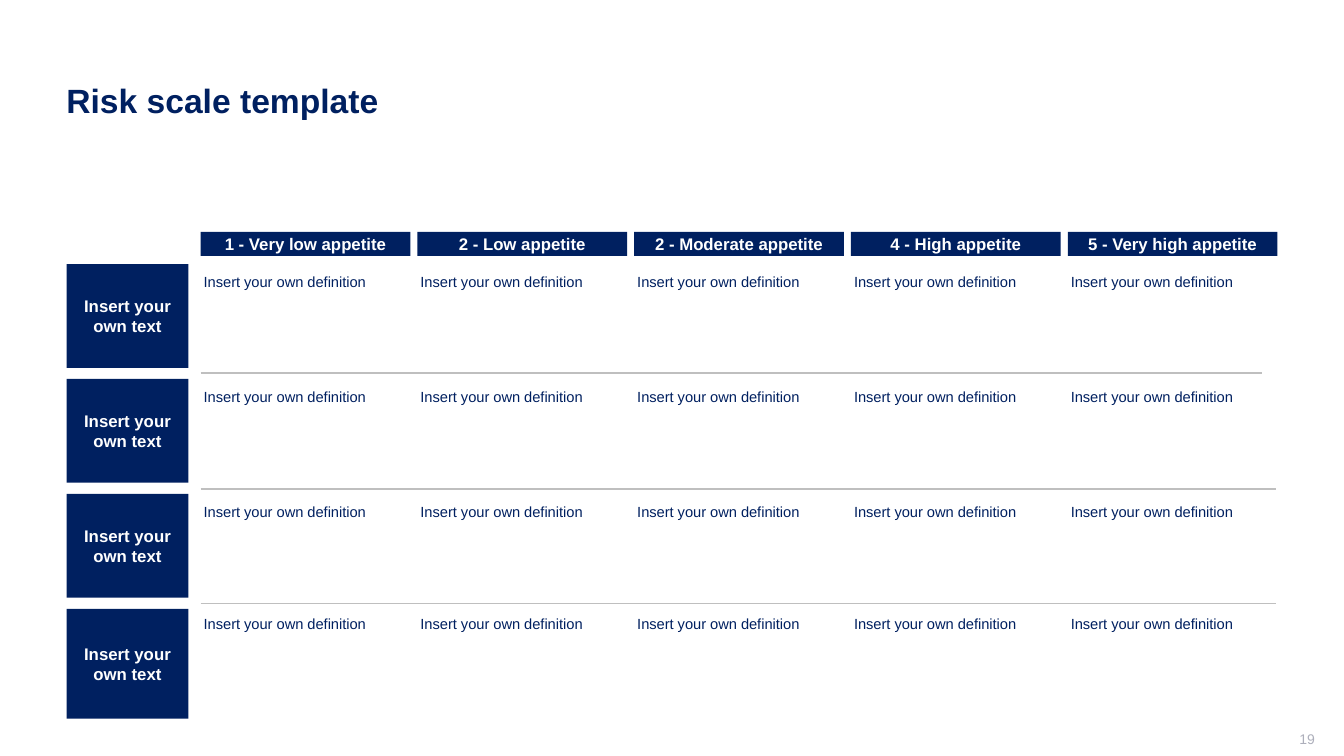
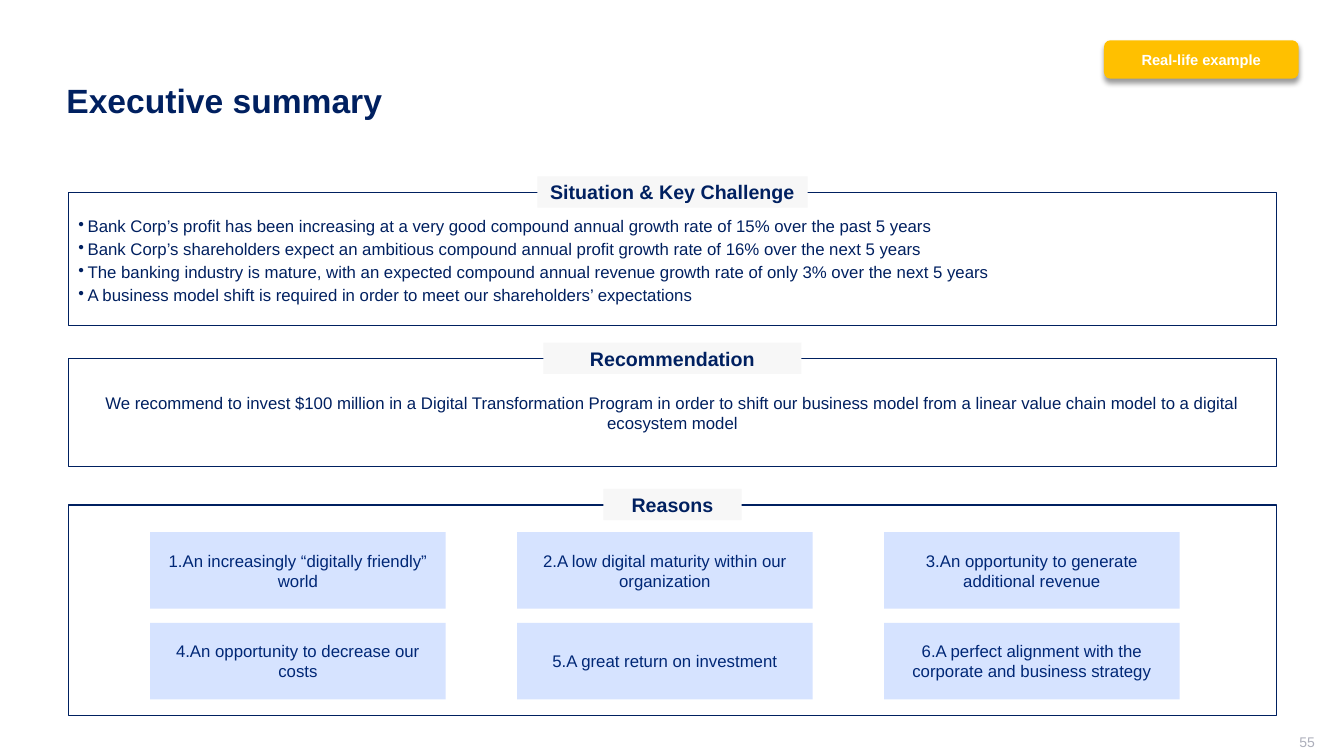
from dataclasses import dataclass
from itertools import product

from lxml.etree import SubElement as Sub
from pptx import Presentation as Deck
from pptx.dml.color import RGBColor as Color
from pptx.enum.shapes import MSO_CONNECTOR as Link
from pptx.enum.shapes import MSO_SHAPE as Form
from pptx.enum.text import MSO_ANCHOR as Anchor
from pptx.enum.text import PP_ALIGN as Align
from pptx.oxml.ns import qn
from pptx.util import Inches, Pt


@dataclass(frozen=True)
class Type:
    size: float
    color: str
    bold: bool = False
    align: Align = Align.CENTER
    gap: float = 0


@dataclass(frozen=True)
class Theme:
    font: str = "Arial"
    navy: str = "002060"
    rule: str = "BFBFBF"
    mist: str = "F7F7F7"
    sky: str = "D6E3FF"
    gold: str = "FFC000"
    title: Type = Type(24, "002060", True, Align.LEFT)
    head: Type = Type(12, "FFFFFF", True)
    note: Type = Type(10.5, "002060", False, Align.LEFT, 1)
    list: Type = Type(12, "002060", False, Align.LEFT, 1)
    body: Type = Type(12, "002060")
    card: Type = Type(12, "002776")
    tag: Type = Type(14, "002060", True)
    badge: Type = Type(10.5, "FFFFFF", True)
    page: Type = Type(10, "ADAFBB", False, Align.RIGHT)


@dataclass(frozen=True)
class Grid:
    left: float
    top: float
    wide: float
    tall: float
    dx: float = 0
    dy: float = 0

    def cell(self, col=0, row=0):
        return (self.left + col * self.dx, self.top + row * self.dy,
                self.wide, self.tall)


THEME = Theme()
WIDE, TALL = 13.33, 7.5
PLAIN = (0.1, 0.05, 0.1, 0.05)
TIGHT = (0.06,) * 4
NONE = (0,) * 4

TITLE = Grid(0.56, 0.4, 12.11, 1.19)
HEADS = Grid(1.99, 2.3, 2.08, 0.24, dx=2.15)
SIDES = Grid(0.66, 2.62, 1.21, 1.03, dy=1.14)
NOTES = Grid(2.02, 2.71, 2.08, 0.18, dx=2.15, dy=1.14)
CARDS = Grid(1.49, 5.28, 2.93, 0.76, dx=3.64, dy=0.9)

SCALE = ["1 - Very low appetite", "2 - Low appetite", "2 - Moderate appetite",
         "4 - High appetite", "5 - Very high appetite"]
FACTS = [
    "Bank Corp’s profit has been increasing at a very good compound annual "
    "growth rate of 15% over the past 5 years",
    "Bank Corp’s shareholders expect an ambitious compound annual profit "
    "growth rate of 16% over the next 5 years",
    "The banking industry is mature, with an expected compound annual revenue "
    "growth rate of only 3% over the next 5 years",
    "A business model shift is required in order to meet our shareholders’ "
    "expectations",
]
ADVICE = ("We recommend to invest $100 million in a Digital Transformation "
          "Program in order to shift our business model from a linear value "
          "chain model to a digital ecosystem model")
CAUSES = ["An increasingly “digitally friendly” world",
          "A low digital maturity within our organization",
          "An opportunity to generate additional revenue",
          "An opportunity to decrease our costs",
          "A great return on investment",
          "A perfect alignment with the corporate and business strategy"]


def paint(hue):
    return Color.from_string(hue)


def dot(para, hue):
    props = para._p.get_or_add_pPr()
    props.set("marL", str(Inches(0.09)))
    props.set("indent", str(Inches(-0.09)))
    Sub(Sub(props, qn("a:buClr")), qn("a:srgbClr"), val=hue)
    Sub(props, qn("a:buChar"), char="•")


def write(shape, lines, style, pad=PLAIN, anchor=Anchor.MIDDLE, wrap=True,
          dots=False):
    frame = shape.text_frame
    frame.word_wrap = wrap
    frame.vertical_anchor = anchor
    (frame.margin_left, frame.margin_top,
     frame.margin_right, frame.margin_bottom) = map(Inches, pad)
    for rank, line in enumerate(lines):
        para = frame.add_paragraph() if rank else frame.paragraphs[0]
        if dots:
            dot(para, style.color)
        para.alignment = style.align
        para.space_before = Pt(style.gap if rank else 0)
        para.space_after = Pt(style.gap)
        run = para.add_run()
        run.text = line
        font = run.font
        font.name, font.size, font.bold = THEME.font, Pt(style.size), style.bold
        font.color.rgb = paint(style.color)


def label(slide, place, line, style, **opts):
    shape = slide.shapes.add_textbox(*map(Inches, place))
    write(shape, [line], style, **opts)


def box(slide, place, fill=None, edge=None, form=Form.RECTANGLE):
    shape = slide.shapes.add_shape(form, *map(Inches, place))
    shape.shadow.inherit = False
    if fill:
        shape.fill.solid()
        shape.fill.fore_color.rgb = paint(fill)
    else:
        shape.fill.background()
    if edge:
        shape.line.color.rgb = paint(edge)
        shape.line.width = Pt(0.75)
    else:
        shape.line.fill.background()
    return shape


def rule(slide, left, right, top):
    line = slide.shapes.add_connector(
        Link.STRAIGHT, *map(Inches, (left, top, right, top)))
    line.line.color.rgb = paint(THEME.rule)
    line.line.width = Pt(1)
    Sub(line._element.spPr, qn("a:effectLst"))


def panel(slide, top, tall, name, span):
    frame = Grid(0.68, top, 11.98, tall)
    shape = box(slide, frame.cell(), edge=THEME.navy)
    mid = frame.left + frame.wide / 2
    tag = box(slide, (mid - span / 2, top - 0.16, span, 0.31), THEME.mist)
    write(tag, [name], THEME.tag)
    return shape


def badge(slide, line):
    shape = box(slide, (10.95, 0.4, 1.93, 0.38), THEME.gold,
                form=Form.ROUNDED_RECTANGLE)
    write(shape, [line], THEME.badge)
    glow = Sub(shape._element.spPr.find(qn("a:effectLst")), qn("a:outerShdw"),
               blurRad=str(Pt(4)), dist=str(Pt(3)), dir="5400000",
               algn="t", rotWithShape="0")
    Sub(Sub(glow, qn("a:srgbClr"), val="000000"), qn("a:alpha"), val="40000")


def start(deck, title, page, top):
    slide = deck.slides.add_slide(deck.slide_layouts[6])
    label(slide, TITLE.cell(), title, THEME.title)
    label(slide, (10.04, top, 3, 0.21), page, THEME.page,
          pad=(0.1, 0, 0, 0.05))
    return slide


def matrix(deck):
    slide = start(deck, "Risk scale template", "19", 7.25)
    for col, name in enumerate(SCALE):
        head = box(slide, HEADS.cell(col), THEME.navy)
        write(head, [name], THEME.head, pad=TIGHT, wrap=False)
    for row, extra in enumerate((0, 0, 0, 0.06)):
        left, top, wide, tall = SIDES.cell(0, row)
        side = box(slide, (left, top, wide, tall + extra), THEME.navy)
        write(side, ["Insert your own text"], THEME.head, pad=TIGHT)
    for row, col in product(range(4), range(len(SCALE))):
        left, top, wide, tall = NOTES.cell(col, row)
        lift = 0.03 if row == 3 else 0
        label(slide, (left, top - lift, wide, tall),
              "Insert your own definition", THEME.note, pad=NONE,
              anchor=Anchor.TOP)
    for top, right in ((3.7, 12.52), (4.85, 12.66), (5.99, 12.66)):
        rule(slide, HEADS.left, right, top)


def summary(deck):
    slide = start(deck, "Executive summary", "55", 7.28)
    facts = panel(slide, 1.91, 1.32, "Situation & Key Challenge", 2.68)
    write(facts, FACTS, THEME.list, pad=(0.1, 0.08, 0.1, 0.05), dots=True)
    advice = panel(slide, 3.56, 1.07, "Recommendation", 2.56)
    write(advice, [ADVICE], THEME.body, pad=(0.1, 0.08, 0.1, 0.08))
    panel(slide, 5.01, 2.09, "Reasons", 1.37)
    for rank, cause in enumerate(CAUSES):
        row, col = divmod(rank, 3)
        card = box(slide, CARDS.cell(col, row), THEME.sky)
        write(card, [f"{rank + 1}.{cause}"], THEME.card, pad=(0.12,) * 4)
    badge(slide, "Real-life example")


def main():
    deck = Deck()
    deck.slide_width, deck.slide_height = Inches(WIDE), Inches(TALL)
    matrix(deck)
    summary(deck)
    deck.save("out.pptx")


if __name__ == "__main__":
    main()
